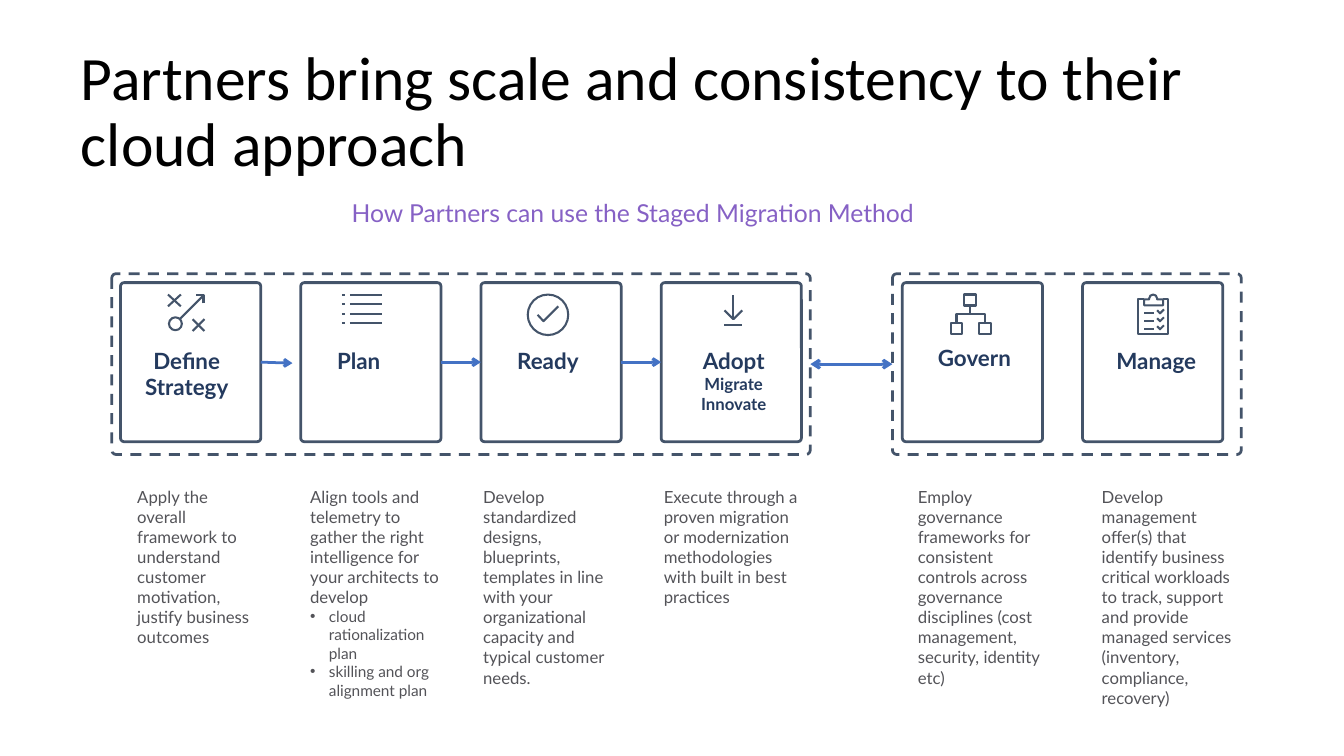
from collections import namedtuple
from pptx import Presentation, util as u
from pptx.dml.color import RGBColor
from pptx.enum import dml, shapes, text
from pptx.oxml.ns import qn
from lxml import etree

Pt = u.Pt
SLATE, NAVY, BLUE, GRAY = "44546A", "243A5E", "4472C4", "535358"
CARD = {"top": 205.9, "wide": 102.2, "high": 115.9, "step": 131.3}
ICON_TOP = 214.6
Stage = namedtuple("Stage", "card tag tag_box tag_high icon_x note note_box note_high")
ROWS = [0, 7, 14, 21]
TICKS = [0, 5.8, 11.6]

STAGES = [
    Stage(87.8, ["Define Strategy"], (87.8, 96.5), 65.5, 122.4,
          ["Apply the overall framework to understand customer motivation, justify business outcomes"],
          (92.9, 97.2), 128),
    Stage(87.8 + CARD["step"], ["Plan"], (213.1, 96.5), 45.4, 249.1,
          ["Align tools and telemetry to gather the right intelligence for your architects to develop",
           "cloud rationalization plan", "skilling and org alignment plan"],
          (218.9, 113), 168),
    Stage(87.8 + 2 * CARD["step"], ["Ready"], (354.2, 90), 45.4, 384.5,
          ["Develop standardized designs, blueprints, templates in line with your organizational "
           "capacity and typical customer needs."],
          (344.9, 113), 126),
    Stage(87.8 + 3 * CARD["step"], ["Adopt", "Migrate", "Innovate"], (486.7, 95.8), 75.6, 527.8,
          ["Execute through a proven migration or modernization methodologies with built in best practices"],
          (476.6, 113), 98),
    Stage(657.4, ["Govern"], (675.4, 69.1), 25.9, 692.6,
          ["Employ governance frameworks for consistent controls across governance disciplines "
           "(cost management, security, identity etc)"],
          (661.7, 113), 126),
    Stage(657.4 + CARD["step"], ["Manage"], (794.2, 96.5), 45.4, 829.4,
          ["Develop management offer(s) that identify business critical workloads to track, support "
           "and provide managed services (inventory, compliance, recovery)"],
          (795.6, 118), 158),
]


def square(x, y):
    return [(x, y), (x + 8.6, y), (x + 8.6, y + 8), (x, y + 8), (x, y)]


ICONS = [
    [[(9.4, 8.6), (0, 0)], [(9.4, 0), (0, 8.6)],
     [(26.6, 26.6), (18, 18)], [(26.6, 18), (18, 26.6)],
     [(8.6, 18), (25.9, 0.7)], [(25.9, 6.5), (25.9, 0.7), (20.2, 0.7)]],
    [[(a, y), (b, y)] for y in ROWS for a, b in ((0, 2.2), (5.8, 29.5))],
    [[(7.2, 14.8), (11.5, 19.4), (22.3, 8.6)]],
    [[(13, 11.5), (6.5, 18), (0, 11.5)], [(6.5, 18), (6.5, 0)], [(0, 22.3), (13, 22.3)]],
    [square(0, 20.9), square(20.9, 20.9), square(10.1, 0), [(14.4, 8), (14.4, 14.4)],
     [(25.2, 20.9), (25.2, 14.4), (4.3, 14.4), (4.3, 20.9)]],
    [[(4.3, 3.6), (0, 3.6), (0, 28.8), (21.6, 28.8), (21.6, 3.6), (18, 3.6)],
     [(7.9, 3.6), (7.9, 2.9), (8.8, 0.8), (10.8, 0), (12.8, 0.8), (13.7, 2.9), (13.7, 3.6),
      (18, 3.6), (18, 7.9), (4.3, 7.9), (4.3, 3.6), (7.9, 3.6)]]
    + [[(4.3, 13.7 + d), (11.5, 13.7 + d)] for d in TICKS]
    + [[(13.7, 11.5 + d), (15.8, 13.7 + d), (18.7, 10.8 + d)] for d in TICKS],
]
RINGS = {0: (0.7, 16.6, 9.4), 2: (0, 0, 29.5)}


def paint(code):
    return RGBColor.from_string(code)


def apply(item, style):
    for key, value in style.items():
        setattr(item, key, value)


def ink(shape, width, fill=None, dash=None):
    shape.shadow.inherit = False
    if fill:
        shape.fill.solid()
        shape.fill.fore_color.rgb = paint(fill)
    else:
        shape.fill.background()
    shape.line.color.rgb = paint(SLATE)
    apply(shape.line, {"width": Pt(width), "dash_style": dash})


def add_box(slide, place, fill=None, dash=None):
    box = slide.shapes.add_shape(shapes.MSO_SHAPE.ROUNDED_RECTANGLE, *map(Pt, place))
    box.adjustments[0] = 0.025
    ink(box, 2, fill, dash)
    return box


def add_icon(slide, x, lines, ring):
    def spot(point):
        return Pt(x + point[0]), Pt(ICON_TOP + point[1])

    if ring:
        left, top, size = ring
        oval = slide.shapes.add_shape(shapes.MSO_SHAPE.OVAL, *spot((left, top)), Pt(size), Pt(size))
        ink(oval, 1.5)
    pen = slide.shapes.build_freeform(*spot(lines[0][0]), scale=1.0)
    for line in lines:
        pen.move_to(*spot(line[0]))
        pen.add_line_segments([spot(p) for p in line[1:]], close=False)
    ink(pen.convert_to_shape(), 1.5)


def write(para, words, size, color, name="Lato", bold=False):
    run = para.add_run()
    run.text = words
    apply(run.font, {"size": Pt(size), "name": name, "bold": bold})
    run.font.color.rgb = paint(color)


def add_text(slide, place, lines, sizes, color, bold=False, align=text.PP_ALIGN.LEFT):
    frame = slide.shapes.add_textbox(*map(Pt, place)).text_frame
    apply(frame, {"word_wrap": True, "auto_size": text.MSO_AUTO_SIZE.SHAPE_TO_FIT_TEXT})
    for i, words in enumerate(lines):
        para = frame.add_paragraph() if i else frame.paragraphs[0]
        para.alignment = align
        write(para, words, sizes[min(i, 1)], color, bold=bold)
    return frame


def add_dot(para):
    props = para._p.get_or_add_pPr()
    props.set("marL", str(Pt(13.7)))
    props.set("indent", str(Pt(-13.7)))
    etree.SubElement(props, qn("a:buFont")).set("typeface", "Arial")
    etree.SubElement(props, qn("a:buChar")).set("char", "•")


def add_arrow(slide, start, goal=None, end=(0, 0), width=2, both=False):
    line = slide.shapes.add_connector(shapes.MSO_CONNECTOR.STRAIGHT, 0, 0, *map(Pt, end))
    line.begin_connect(start, 3)
    if goal is not None:
        line.end_connect(goal, 1)
    line.line.color.rgb = paint(BLUE)
    line.line.width = Pt(width)
    stroke = line.line._get_or_add_ln()
    for tip in ("a:headEnd", "a:tailEnd") if both else ("a:tailEnd",):
        etree.SubElement(stroke, qn(tip)).set("type", "arrow")
    etree.SubElement(line._element.spPr, qn("a:effectLst"))


def set_title(slide, words):
    title = slide.shapes.title
    apply(title, {"left": Pt(51.8), "top": Pt(29.5), "width": Pt(895), "height": Pt(106.6)})
    frame = title.text_frame
    apply(frame, {"word_wrap": True, "auto_size": text.MSO_AUTO_SIZE.NONE,
                  "vertical_anchor": text.MSO_ANCHOR.MIDDLE})
    para = frame.paragraphs[0]
    apply(para, {"alignment": text.PP_ALIGN.LEFT, "line_spacing": 0.9})
    write(para, words, 44.9, "000000", "Calibri")


def main():
    deck = Presentation()
    apply(deck, {"slide_width": Pt(979.2), "slide_height": Pt(550.8)})
    slide = deck.slides.add_slide(deck.slide_layouts[5])
    set_title(slide, "Partners bring scale and consistency to their cloud approach")
    add_text(slide, (249.1, 140.4, 488.2, 29.5),
             ["How Partners can use the Staged Migration Method"], (18,), "8661C5")

    cards = []
    for i, stage in enumerate(STAGES):
        cards.append(add_box(slide, (stage.card, CARD["top"], CARD["wide"], CARD["high"]), "FFFFFF"))
        add_icon(slide, stage.icon_x, ICONS[i], RINGS.get(i))
        left, wide = stage.tag_box
        tag = add_text(slide, (left, 249.1, wide, stage.tag_high), stage.tag, (16.3, 12.2), NAVY,
                       True, text.PP_ALIGN.CENTER)
        if stage.tag == ["Govern"]:
            tag.paragraphs[0].line_spacing = 0.9
        left, wide = stage.note_box
        note = add_text(slide, (left, 351, wide, stage.note_high), stage.note, (12.2, 11.2), GRAY)
        for para in note.paragraphs[1:]:
            add_dot(para)

    add_arrow(slide, cards[0], end=(213.1, 264.6))
    for start, goal in zip(cards[1:3], cards[2:4]):
        add_arrow(slide, start, goal)
    frames = [add_box(slide, (x, 199.4, wide, 131.8), dash=dml.MSO_LINE.DASH)
              for x, wide in ((81.4, 509), (650.2, 254.2))]
    add_arrow(slide, *frames, width=2.25, both=True)
    deck.save("out.pptx")


if __name__ == "__main__":
    main()
